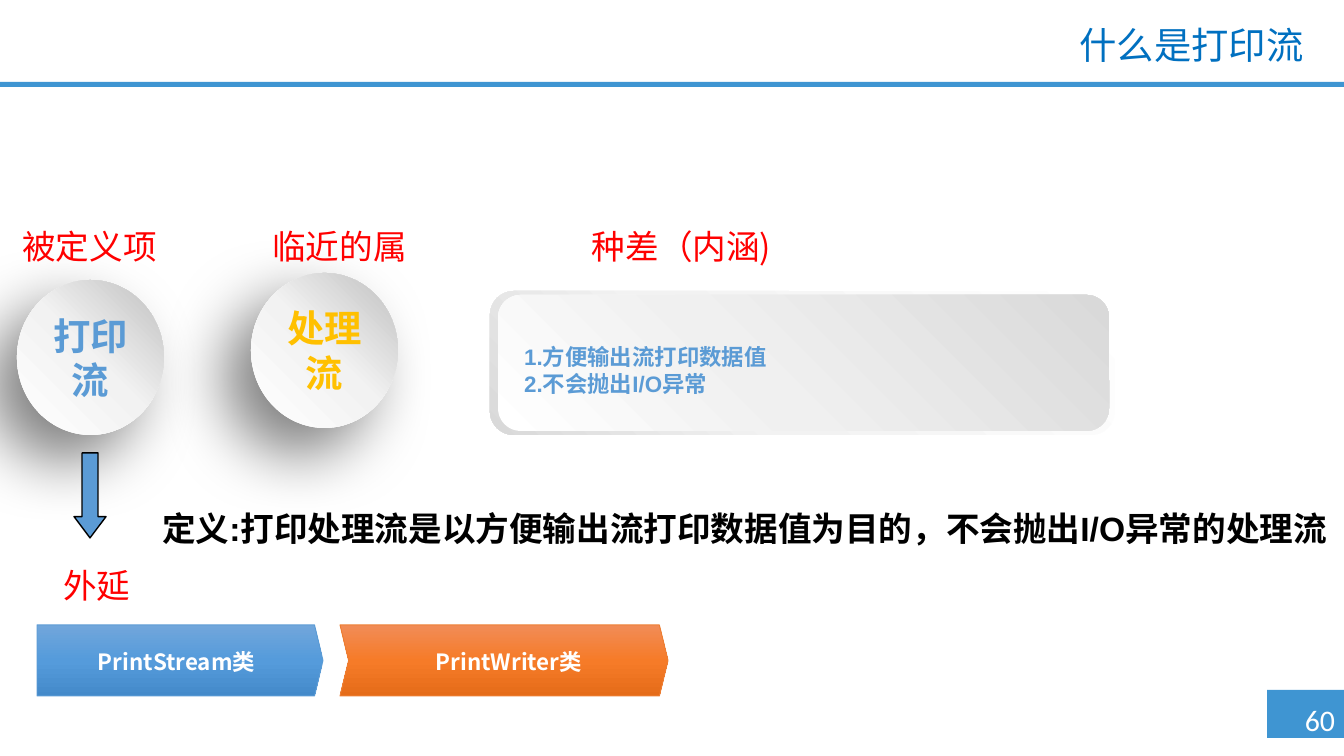
"""Build the slide that defines print streams by genus, difference and extension."""
from dataclasses import dataclass

import pptx
import pptx.dml.color
import pptx.enum.shapes
import pptx.enum.text
import pptx.oxml
import pptx.oxml.ns
import pptx.util

SHAPE = pptx.enum.shapes.MSO_SHAPE
ALIGN = pptx.enum.text.PP_ALIGN
ANCHOR = pptx.enum.text.MSO_ANCHOR
PX = 914400 / 134.4


@dataclass(frozen=True)
class Theme:
    bar: str = "3F95D2"
    title: str = "0070C0"
    label: str = "FF0000"
    blue: str = "5B9BD5"
    gold: str = "FFC000"
    orange: str = "ED7D31"
    black: str = "000000"
    white: str = "FFFFFF"
    disc: tuple = ((0, "FFFFFF"), (51, "F2F2F2"), (100, "BFBFBF"))
    rim: tuple = ((0, "FFFFFF"), (62, "F2F2F2"), (100, "D9D9D9"))
    panel: tuple = ((0, "FFFFFF"), (42, "F0F0F0"), (100, "D9D9D9"))
    blue_fade: tuple = ((0, "71A6DB"), (50, "559BDB"), (100, "448ACA"))
    orange_fade: tuple = ((0, "F18C57"), (50, "F67B28"), (100, "E56C19"))
    cjk: str = "Noto Sans CJK SC"
    large: int = 20
    medium: int = 18
    number: int = 16
    small: int = 12


THEME = Theme()
TITLE = "什么是打印流"
PAGE = "60"
DEFINITION = "定义:打印处理流是以方便输出流打印数据值为目的，不会抛出I/O异常的处理流"
DIFFERENCES = ["1.方便输出流打印数据值", "2.不会抛出I/O异常"]
LABELS = [
    ("被定义项", (-47, 219, 273, 54)),
    ("临近的属", (190, 219, 299, 54)),
    ("种差（内涵)", (551, 219, 261, 54)),
    ("外延", (30, 558, 134, 54)),
]
CONCEPTS = [
    ("打印流", (17, 280, 147, 155), THEME.blue, "Calibri"),
    ("处理流", (251, 273, 147, 155), THEME.gold, THEME.cjk),
]
CLASSES = [
    ("PrintStream类", SHAPE.PENTAGON, (37, 625, 286, 71), 0.119,
     THEME.blue_fade, THEME.blue, (50, 648, 253, 27)),
    ("PrintWriter类", SHAPE.CHEVRON, (340, 625, 328, 71), 0.122,
     THEME.orange_fade, THEME.orange, (378, 648, 262, 27)),
]


def emu(box):
    return [round(length * PX) for length in box]


def rgb(value):
    return pptx.dml.color.RGBColor.from_string(value)


def element(parent, tag, **attributes):
    child = pptx.oxml.ns.qn(f"a:{tag}")
    child = parent.makeelement(child, {k: str(v) for k, v in attributes.items()})
    parent.append(child)
    return child


def write(holder, text, *, size, color, font=THEME.cjk, bold=False,
          align=ALIGN.CENTER, anchor=ANCHOR.TOP, inset=None, spacing=None):
    frame = holder.text_frame
    frame.word_wrap = True
    frame.vertical_anchor = anchor
    if inset is not None:
        frame.margin_left = frame.margin_right = inset
        frame.margin_top = frame.margin_bottom = inset
    frame.text = text
    for paragraph in frame.paragraphs:
        paragraph.alignment = align
        paragraph.line_spacing = spacing
        for run in paragraph.runs:
            run.font.size = pptx.util.Pt(size)
            run.font.bold = bold
            run.font.name = font
            run.font.color.rgb = rgb(color)
            element(run.font._element, "ea", typeface=THEME.cjk)


def text_box(slide, text, box, **style):
    write(slide.shapes.add_textbox(*emu(box)), text, **style)


def draw(slide, kind, box, fill, angle=0, line=None, width=0.5, adjust=()):
    shape = slide.shapes.add_shape(kind, *emu(box))
    shape.shadow.inherit = False
    for index, value in enumerate(adjust):
        shape.adjustments[index] = value
    if isinstance(fill, str):
        shape.fill.solid()
        shape.fill.fore_color.rgb = rgb(fill)
    else:
        shape.fill.gradient()
        shape.fill.gradient_angle = -angle % 360
        stops = shape._element.spPr.find(".//" + pptx.oxml.ns.qn("a:gsLst"))
        for stop in list(stops):
            stops.remove(stop)
        for position, color in fill:
            element(element(stops, "gs", pos=position * 1000), "srgbClr", val=color)
    if line:
        shape.line.color.rgb = rgb(line)
        shape.line.width = pptx.util.Pt(width)
    else:
        shape.line.fill.background()
    return shape


def cast_shadow(shape):
    effects = shape._element.spPr.find(pptx.oxml.ns.qn("a:effectLst"))
    shadow = element(effects, "outerShdw", blurRad=pptx.util.Pt(35),
                     dist=pptx.util.Pt(20), dir=135 * 60000, algn="tr", rotWithShape=0)
    element(element(shadow, "srgbClr", val=THEME.black), "alpha", val=50000)


def main():
    deck = pptx.Presentation()
    deck.slide_width, deck.slide_height = emu((1344, 756))
    slide = deck.slides.add_slide(deck.slide_layouts[6])

    draw(slide, SHAPE.RECTANGLE, (1267, 690, 77, 48), THEME.bar)
    draw(slide, SHAPE.RECTANGLE, (0, 82, 1344, 5), THEME.bar)
    text_box(slide, PAGE, (1285, 695, 70, 50), size=THEME.number,
             color=THEME.white, font="Calibri")
    text_box(slide, TITLE, (323, 20, 994, 55), size=THEME.large, color=THEME.title,
             font="Roboto", align=ALIGN.RIGHT, anchor=ANCHOR.MIDDLE, spacing=0.9)

    for name, box, color, font in CONCEPTS:
        disc = draw(slide, SHAPE.OVAL, box, THEME.disc, angle=315)
        cast_shadow(disc)
        write(disc, name, size=THEME.large, color=color, font=font, bold=True,
              anchor=ANCHOR.MIDDLE)
    for label, box in LABELS:
        text_box(slide, label, box, size=THEME.medium, color=THEME.label)

    draw(slide, SHAPE.ROUNDED_RECTANGLE, (490, 291, 625, 144), THEME.rim, angle=135)
    draw(slide, SHAPE.ROUNDED_RECTANGLE, (498, 295, 611, 136), THEME.panel, angle=315)
    text_box(slide, "\n".join(DIFFERENCES), (511, 337, 605, 67), size=THEME.small,
             color=THEME.blue, font="Arial", bold=True, align=ALIGN.LEFT)

    text_box(slide, DEFINITION, (139, 501, 1211, 54), size=THEME.medium,
             color=THEME.black, font="Arial", bold=True)
    draw(slide, SHAPE.DOWN_ARROW, (74, 453, 32, 85), THEME.blue,
         line=THEME.black, width=0.75, adjust=(0.5, 0.665))

    for name, kind, box, point, fade, edge, caption in CLASSES:
        draw(slide, kind, box, fade, angle=90, line=edge, adjust=(point,))
        text_box(slide, name, caption, size=THEME.small, color=THEME.white,
                 bold=True, anchor=ANCHOR.MIDDLE, inset=0)

    deck.save("out.pptx")


if __name__ == "__main__":
    main()
